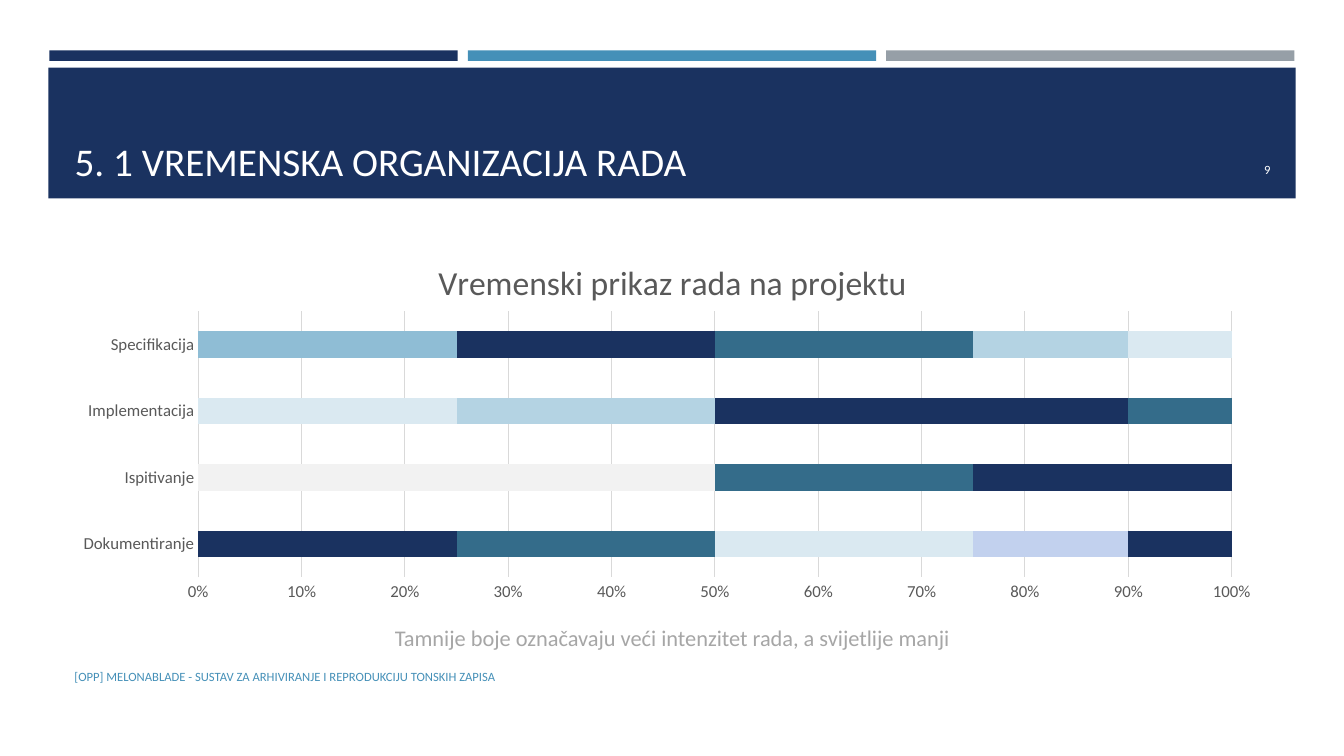
from dataclasses import dataclass

import pptx
import pptx.chart.chart
import pptx.chart.data
import pptx.dml.color
import pptx.enum.chart
import pptx.enum.text
import pptx.enum.shapes
import pptx.oxml
import pptx.oxml.ns
import pptx.slide
import pptx.text.text
import pptx.util

RGBColor = pptx.dml.color.RGBColor
Align = pptx.enum.text.PP_ALIGN
Anchor = pptx.enum.text.MSO_ANCHOR

SLIDE_WIDTH = pptx.util.Inches(13.33)
SLIDE_HEIGHT = pptx.util.Inches(7.5)
FONT = "Calibri"

NAVY = RGBColor(0x1A, 0x32, 0x60)
BLUE = RGBColor(0x45, 0x90, 0xB8)
GREY = RGBColor(0x96, 0x9F, 0xA7)
WHITE = RGBColor(0xFF, 0xFF, 0xFF)
TEAL = RGBColor(0x34, 0x6C, 0x8A)
SKY = RGBColor(0x8F, 0xBD, 0xD5)
LIGHT = RGBColor(0xB4, 0xD3, 0xE3)
PALE = RGBColor(0xDA, 0xE9, 0xF1)
LAVENDER = RGBColor(0xC2, 0xD1, 0xEE)
FAINT = RGBColor(0xF2, 0xF2, 0xF2)
CHART_TEXT = RGBColor(0x59, 0x59, 0x59)
CAPTION_TEXT = RGBColor(0xA6, 0xA6, 0xA6)
GRID_LINE = RGBColor(0xD9, 0xD9, 0xD9)


@dataclass(frozen=True)
class Box:
    """Position and size in percent of the slide's width and height."""
    left: float
    top: float
    width: float
    height: float

    def lengths(self) -> tuple[int, int, int, int]:
        return (int(SLIDE_WIDTH * self.left / 100), int(SLIDE_HEIGHT * self.top / 100),
                int(SLIDE_WIDTH * self.width / 100), int(SLIDE_HEIGHT * self.height / 100))


@dataclass(frozen=True)
class Label:
    text: str
    box: Box
    size: float
    color: RGBColor
    align: Align = Align.LEFT
    anchor: Anchor = Anchor.MIDDLE


@dataclass(frozen=True)
class Phase:
    """One stacked share of the project, with a colour for each activity."""
    name: str
    share: int
    colors: tuple[RGBColor, ...]


MARGIN, CONTENT_WIDTH = 4.8, 90.47
BAR_LEFT, BAR_STEP = 3.68, 31.13
BAR_COLORS = (NAVY, BLUE, GREY)
BAND = Box(3.6, 8.93, 92.8, 17.33)
CHART_BOX = Box(MARGIN, 31.87, CONTENT_WIDTH, 48.93)

TITLE = Label("5. 1 VREMENSKA ORGANIZACIJA RADA", Box(MARGIN, 10.27, CONTENT_WIDTH, 14.8),
              28, WHITE, anchor=Anchor.BOTTOM)
LABELS = (
    Label("Tamnije boje označavaju veći intenzitet rada, a svijetlije manji",
          Box(MARGIN, 81.87, CONTENT_WIDTH, 4.93), 16, CAPTION_TEXT, Align.CENTER, Anchor.TOP),
    Label("9", Box(89.35, 19.73, 5.93, 5.33), 9, WHITE, Align.RIGHT),
    Label("[OPP] MELONABLADE - SUSTAV ZA ARHIVIRANJE I REPRODUKCIJU TONSKIH ZAPISA",
          Box(MARGIN, 86.8, 41.34, 5.33), 9, BLUE),
)

ACTIVITIES = ("Dokumentiranje", "Ispitivanje", "Implementacija", "Specifikacija")
PHASES = (
    Phase("Series 1", 25, (NAVY, FAINT, PALE, SKY)),
    Phase("Series 2", 25, (TEAL, FAINT, LIGHT, NAVY)),
    Phase("Series 3", 25, (PALE, TEAL, NAVY, TEAL)),
    Phase("Series 4", 15, (LAVENDER, NAVY, NAVY, LIGHT)),
    Phase("Series 5", 10, (NAVY, NAVY, TEAL, PALE)),
)
PLOT_LAYOUT = {"x": 0.11, "y": 0.19, "w": 0.85, "h": 0.72}


def add_block(slide: pptx.slide.Slide, box: Box, color: RGBColor) -> None:
    block = slide.shapes.add_shape(pptx.enum.shapes.MSO_SHAPE.RECTANGLE, *box.lengths())
    block.shadow.inherit = False
    block.fill.solid()
    block.fill.fore_color.rgb = color
    block.line.fill.background()


def write_label(frame: pptx.text.text.TextFrame, label: Label) -> None:
    frame.text = label.text
    frame.word_wrap = True
    frame.auto_size = pptx.enum.text.MSO_AUTO_SIZE.NONE
    frame.vertical_anchor = label.anchor
    paragraph = frame.paragraphs[0]
    paragraph.alignment = label.align
    style_font(paragraph.font, label.size, label.color)


def style_font(font: pptx.text.text.Font, size: float, color: RGBColor) -> None:
    font.name = FONT
    font.size = pptx.util.Pt(size)
    font.bold = False
    font.color.rgb = color


def set_plot_layout(chart: pptx.chart.chart.Chart) -> None:
    """Fix the inner plot area as shares of the chart."""
    modes = '<c:layoutTarget val="inner"/><c:xMode val="edge"/><c:yMode val="edge"/>'
    sizes = "".join(f'<c:{key} val="{share}"/>' for key, share in PLOT_LAYOUT.items())
    layout = pptx.oxml.parse_xml(
        f'<c:layout {pptx.oxml.ns.nsdecls("c")}>'
        f"<c:manualLayout>{modes}{sizes}</c:manualLayout></c:layout>")
    plot_area = chart.element.find(".//" + pptx.oxml.ns.qn("c:plotArea"))
    for previous in plot_area.findall(pptx.oxml.ns.qn("c:layout")):
        plot_area.remove(previous)
    plot_area.insert(0, layout)


def add_schedule(slide: pptx.slide.Slide) -> None:
    data = pptx.chart.data.CategoryChartData()
    data.categories = ACTIVITIES
    for phase in PHASES:
        data.add_series(phase.name, [phase.share] * len(ACTIVITIES))
    chart = slide.shapes.add_chart(
        pptx.enum.chart.XL_CHART_TYPE.BAR_STACKED_100, *CHART_BOX.lengths(), data).chart
    chart.has_legend = False
    style_font(chart.font, 12, CHART_TEXT)

    title_frame = chart.chart_title.text_frame
    title_frame.text = "Vremenski prikaz rada na projektu"
    style_font(title_frame.paragraphs[0].font, 24, CHART_TEXT)
    chart.chart_title.include_in_layout = False
    set_plot_layout(chart)

    # Axes
    for axis in (chart.category_axis, chart.value_axis):
        axis.major_tick_mark = axis.minor_tick_mark = pptx.enum.chart.XL_TICK_MARK.NONE
        style_font(axis.tick_labels.font, 12, CHART_TEXT)
    chart.value_axis.has_major_gridlines = True
    chart.value_axis.format.line.fill.background()
    chart.value_axis.tick_labels.number_format = "0%"
    chart.value_axis.tick_labels.number_format_is_linked = False
    for line in (chart.category_axis.format.line, chart.value_axis.major_gridlines.format.line):
        line.color.rgb = GRID_LINE
        line.width = pptx.util.Pt(0.75)

    # Work intensity colours
    plot = chart.plots[0]
    plot.gap_width, plot.overlap = 150, 100
    plot.vary_by_categories = False
    for series, phase in zip(plot.series, PHASES):
        for index, color in enumerate(phase.colors):
            fill = series.points[index].format.fill
            fill.solid()
            fill.fore_color.rgb = color


def main() -> None:
    presentation = pptx.Presentation()
    presentation.slide_width, presentation.slide_height = SLIDE_WIDTH, SLIDE_HEIGHT
    slide = presentation.slides.add_slide(presentation.slide_layouts.get_by_name("Title Only"))

    # Header bars and band
    for column, color in enumerate(BAR_COLORS):
        add_block(slide, Box(BAR_LEFT + column * BAR_STEP, 6.67, 30.38, 1.4), color)
    add_block(slide, BAND, NAVY)

    # Title, brought in front of the band
    title = slide.shapes.title
    title.left, title.top, title.width, title.height = TITLE.box.lengths()
    write_label(title.text_frame, TITLE)
    slide.shapes.element.append(title.element)

    add_schedule(slide)

    # Caption, slide number and footer
    for label in LABELS:
        write_label(slide.shapes.add_textbox(*label.box.lengths()).text_frame, label)

    presentation.save("out.pptx")


if __name__ == "__main__":
    main()
